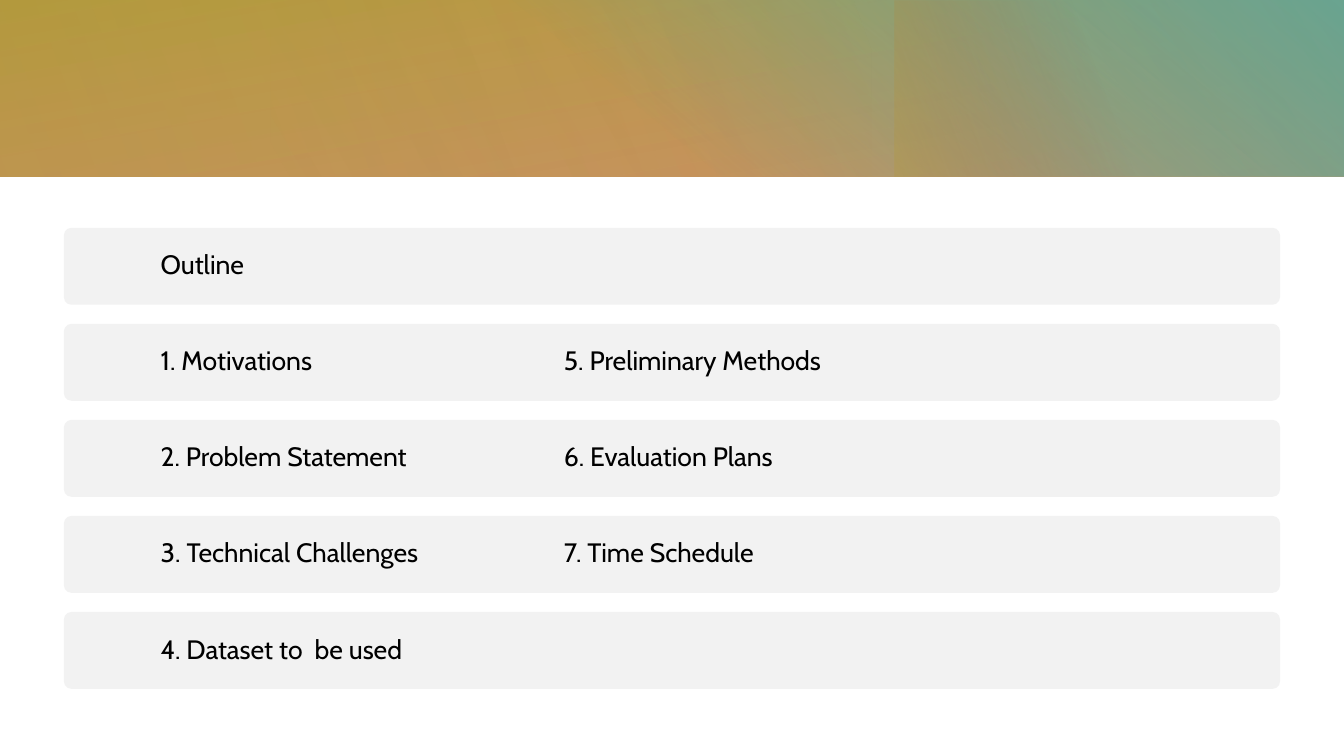
from pptx import Presentation
from pptx.dml.color import RGBColor
from pptx.enum.shapes import MSO_SHAPE as Shape
from pptx.enum.text import MSO_ANCHOR as Anchor
from pptx.oxml import parse_xml
from pptx.oxml.ns import nsdecls
from pptx.util import Cm, Pt

ROWS = [
    ("Outline",),
    ("1. Motivations", "5. Preliminary Methods"),
    ("2. Problem Statement", "6. Evaluation Plans"),
    ("3. Technical Challenges", "7. Time Schedule"),
    ("4. Dataset to  be used",),
]
OCHRE, OLIVE, TEAL, RED = "C3814D", "B1A03B", "46B3AC", "B13E3B"
WIDTH, HEIGHT = 33.87, 19.05
BANNER_H = 4.45

# left, top, width, height (cm), rotation, gradient angle, stops (position %, colour, opacity %)
BANNER = [
    (0, 0, WIDTH, BANNER_H, 0, 260, [(0, OCHRE, 82), (100, OLIVE, 100)]),
    (12.22, 0, 21.65, BANNER_H, 0, 310, [(0, TEAL, 0), (22, TEAL, 0), (99, TEAL, 100)]),
    (25.06, -2.52, BANNER_H, 9.5, 270, 250, [(0, RED, 0), (45, RED, 0), (99, OLIVE, 33)]),
    (6.82, 0, 27.05, BANNER_H, 180, 330, [(0, OCHRE, 29), (99, OCHRE, 0)]),
    (0, 0, 21.97, BANNER_H, 0, 340, [(0, OCHRE, 20), (99, OCHRE, 0)]),
]

ROW_LEFT, ROW_TOP, ROW_W, ROW_H, ROW_PITCH = 1.61, 5.74, 30.65, 1.94, 2.42
TEXT_INDENT, INSET, SECOND_COLUMN = 2.23, 0.21, 10.16
TEXT_FORMAT = {"name": "Cabin", "size": Pt(19)}


def rgb(value):
    return RGBColor.from_string(value)


def add_plain(s, kind, left, top, width, height):
    """Add a preset shape with neither shadow nor outline."""
    sp = s.shapes.add_shape(kind, Cm(left), Cm(top), Cm(width), Cm(height))
    sp.shadow.inherit = False
    sp.line.fill.background()
    return sp


def fill_gradient(sp, angle, stops):
    """Fill with any number of partly transparent stops; the angle runs clockwise."""
    stop_xml = "".join(
        f'<a:gs pos="{pos * 1000}"><a:srgbClr val="{colour}">'
        f'<a:alpha val="{opacity * 1000}"/></a:srgbClr></a:gs>'
        for pos, colour, opacity in stops)
    gradient = parse_xml(
        f'<a:gradFill {nsdecls("a")} rotWithShape="1"><a:gsLst>{stop_xml}</a:gsLst>'
        f'<a:lin ang="{angle * 60000}" scaled="0"/></a:gradFill>')
    sp._element.spPr.prstGeom.addnext(gradient)


def add_row(s, top, entries):
    bar = add_plain(s, Shape.ROUNDED_RECTANGLE, ROW_LEFT, top, ROW_W, ROW_H)
    bar.adjustments[0] = 0.1
    bar.fill.solid()
    bar.fill.fore_color.rgb = rgb("F2F2F2")

    box = s.shapes.add_textbox(Cm(ROW_LEFT + TEXT_INDENT), Cm(top),
                               Cm(ROW_W - TEXT_INDENT), Cm(ROW_H))
    tf = box.text_frame
    tf.word_wrap = True
    tf.vertical_anchor = Anchor.MIDDLE
    for side in ("left", "right", "top", "bottom"):
        setattr(tf, f"margin_{side}", Cm(INSET))
    p = tf.paragraphs[0]
    p.line_spacing = 0.9
    if len(entries) > 1:
        p._p.get_or_add_pPr().append(parse_xml(
            f'<a:tabLst {nsdecls("a")}><a:tab pos="{Cm(SECOND_COLUMN)}" algn="l"/></a:tabLst>'))
    r = p.add_run()
    r.text = "\t".join(entries)
    for name, value in TEXT_FORMAT.items():
        setattr(r.font, name, value)
    r.font.color.rgb = rgb("000000")


def main():
    prs = Presentation()
    prs.slide_width, prs.slide_height = Cm(WIDTH), Cm(HEIGHT)
    s = prs.slides.add_slide(prs.slide_layouts[6])
    for left, top, width, height, rotation, angle, stops in BANNER:
        sp = add_plain(s, Shape.RECTANGLE, left, top, width, height)
        sp.rotation = rotation
        fill_gradient(sp, angle, stops)
    for i, entries in enumerate(ROWS):
        add_row(s, ROW_TOP + i * ROW_PITCH, entries)
    prs.save("out.pptx")


if __name__ == "__main__":
    main()
